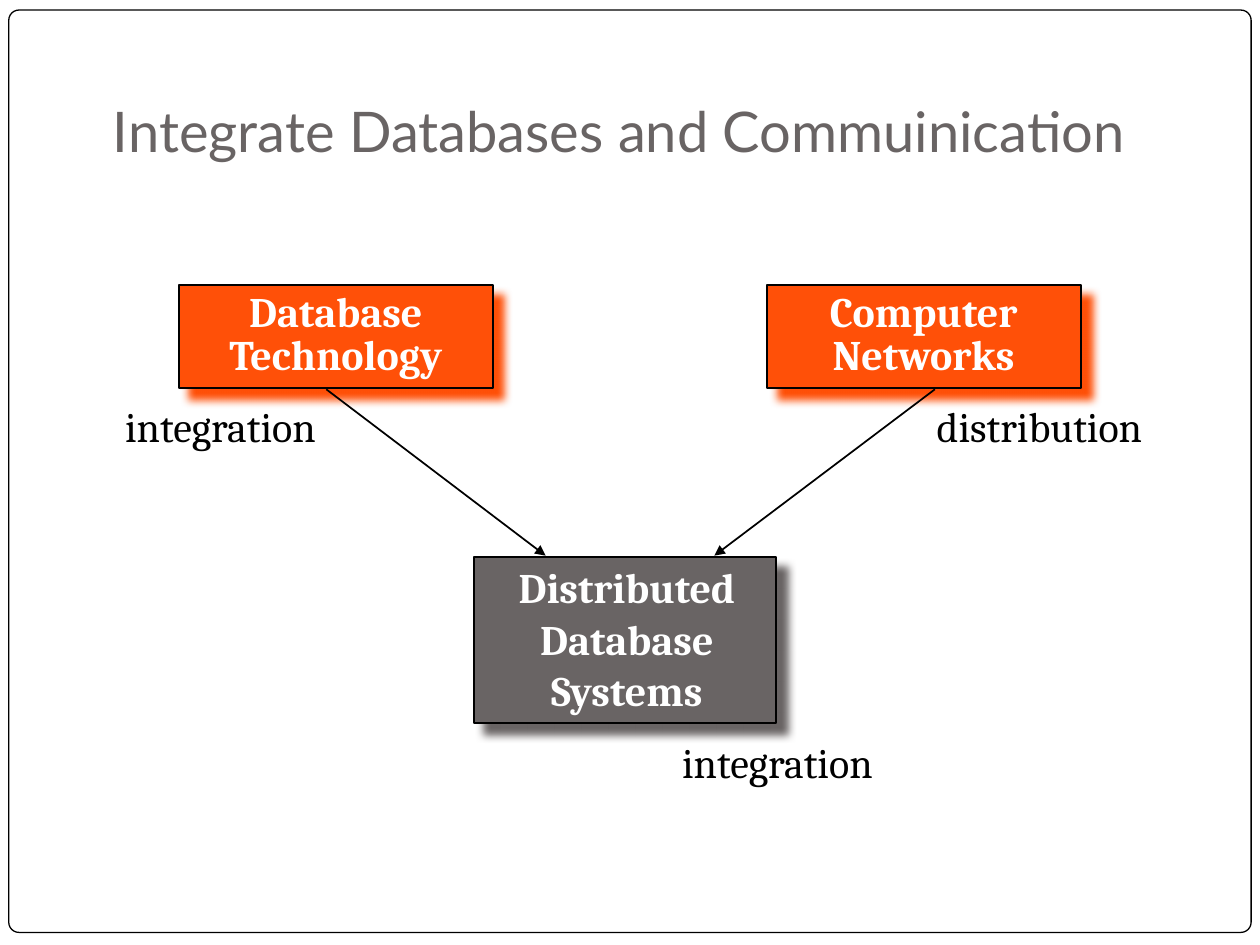
from lxml import etree
from pptx import Presentation
from pptx.dml.color import RGBColor
from pptx.enum.shapes import MSO_CONNECTOR, MSO_SHAPE
from pptx.enum.text import MSO_ANCHOR, MSO_AUTO_SIZE, PP_ALIGN
from pptx.oxml.ns import qn
from pptx.util import Inches, Pt

RECT = MSO_SHAPE.RECTANGLE
ROUND = MSO_SHAPE.ROUNDED_RECTANGLE
LINE = MSO_CONNECTOR.STRAIGHT
CENTER = PP_ALIGN.CENTER
BOTTOM = MSO_ANCHOR.BOTTOM
GROW = MSO_AUTO_SIZE.SHAPE_TO_FIT_TEXT

COLORS = {"white": "FFFFFF", "black": "000000", "orange": "FF5008", "gray": "696464"}
WIDE, HIGH = 10, 7.5
TOP, LOW = 2.26, 4.42
LEFT, RIGHT = 1.42, 6.09


def color(name):
    return RGBColor.from_string(COLORS[name])


def inches(*sizes):
    return [Inches(size) for size in sizes]


def pad(frame, side, top, bottom):
    frame.margin_left = frame.margin_right = Inches(side)
    frame.margin_top, frame.margin_bottom = inches(top, bottom)


def style(frame, text, font, size, ink, bold=False, space=None):
    frame.text = text
    for para in frame.paragraphs:
        para.alignment = CENTER
        para.line_spacing = space
        for run in para.runs:
            run.font.name = font
            run.font.size = Pt(size)
            run.font.bold = bold
            run.font.color.rgb = color(ink)


def add_block(slide, kind, place, fill, width):
    block = slide.shapes.add_shape(kind, *inches(*place))
    block.shadow.inherit = False
    block.fill.solid()
    block.fill.fore_color.rgb = color(fill)
    block.line.color.rgb = color("black")
    block.line.width = Pt(width)
    return block


def add_frame(slide):
    frame = add_block(slide, ROUND, (0.07, 0.08, 9.86, 7.32), "white", 0.75)
    frame.adjustments[0] = 0.011
    slide.shapes._spTree.insert(2, frame._element)


def add_title(slide, text):
    title = slide.shapes.title
    title.left, title.top, title.width, title.height = inches(0, 0.25, 9.83, 1.15)
    frame = title.text_frame
    frame.vertical_anchor = BOTTOM
    pad(frame, 0.1, 0.05, 0.1)
    style(frame, text, "Lato", 32, "gray")


def add_box(slide, place, fill):
    box = add_block(slide, RECT, place, fill, 1)
    effects = box._element.spPr.find(qn("a:effectLst"))
    shade = etree.SubElement(
        effects, qn("a:outerShdw"), blurRad=str(Pt(5)), dist=str(Pt(8.5)),
        dir=str(45 * 60000), algn="ctr", rotWithShape="0")
    etree.SubElement(shade, qn("a:srgbClr"), val=COLORS[fill])


def add_arrow(slide, start, end):
    arrow = slide.shapes.add_connector(LINE, *inches(*start, *end))
    arrow.line.color.rgb = color("black")
    arrow.line.width = Pt(1)
    etree.SubElement(arrow.line._get_or_add_ln(), qn("a:tailEnd"), type="triangle")
    etree.SubElement(arrow._element.spPr, qn("a:effectLst"))


def add_label(slide, place, text, ink="black", bold=False, space=0.85):
    frame = slide.shapes.add_textbox(*inches(*place)).text_frame
    frame.word_wrap = True
    frame.auto_size = GROW
    pad(frame, 0.07, 0.03, 0.03)
    style(frame, text, "Cambria", 24, ink, bold, space)


def main():
    deck = Presentation()
    deck.slide_width, deck.slide_height = inches(WIDE, HIGH)
    slide = deck.slides.add_slide(deck.slide_layouts[5])
    add_frame(slide)
    add_title(slide, "Integrate Databases and Commuinication")

    for left in (LEFT, RIGHT):
        add_box(slide, (left, TOP, 2.49, 0.82), "orange")
    add_box(slide, (3.76, LOW, 2.4, 1.32), "gray")

    for start, end in ((2.59, 4.33), (7.42, 5.67)):
        add_arrow(slide, (start, 3.09), (end, 4.41))

    add_label(slide, (1.59, 2.3, 2.15, 0.74), "Database\nTechnology", "white", True)
    add_label(slide, (6.39, 2.3, 1.88, 0.74), "Computer\nNetworks", "white", True)
    add_label(slide, (0.82, 3.21, 1.86, 0.4), "integration")
    add_label(slide, (7.27, 3.21, 1.96, 0.4), "distribution")
    add_label(slide, (5.24, 5.88, 1.86, 0.4), "integration")
    add_label(slide, (3.9, LOW, 2.15, 1.28), "Distributed\nDatabase\nSystems",
              "white", True, 1.02)
    deck.save("out.pptx")


if __name__ == "__main__":
    main()
